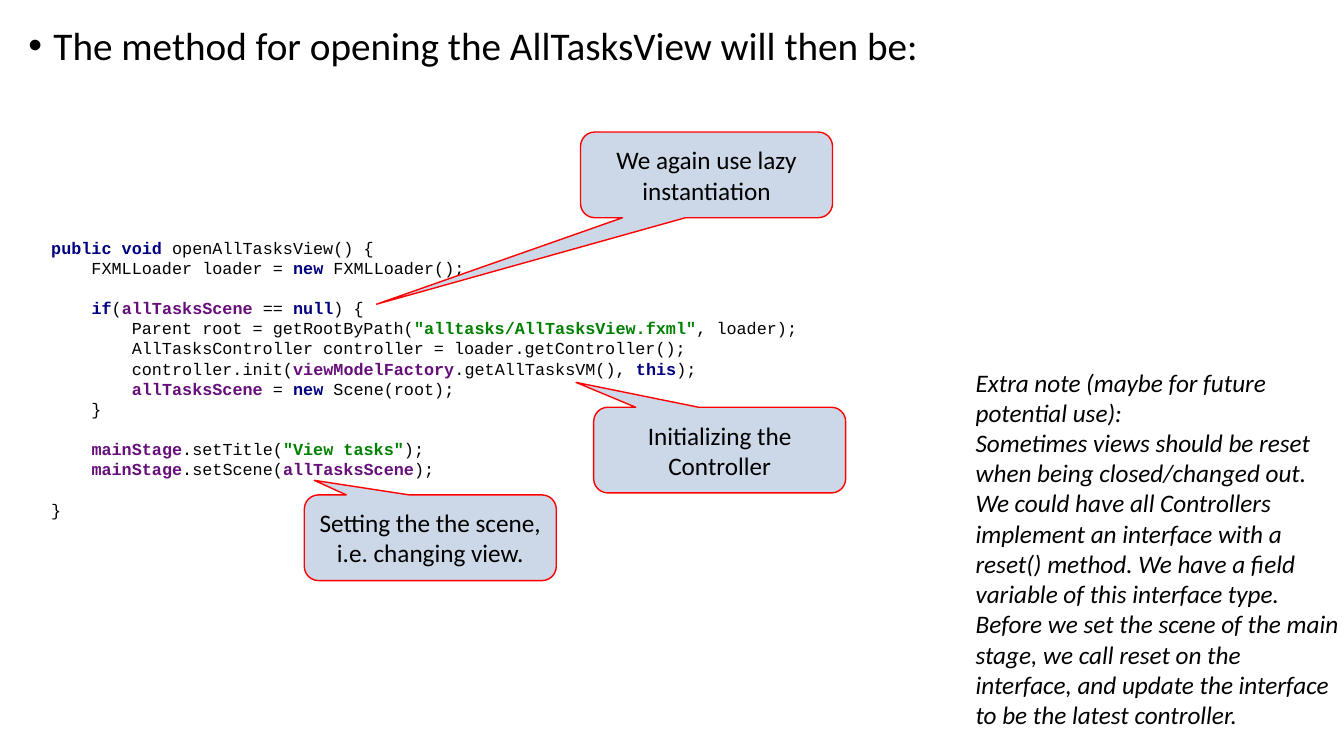
from copy import deepcopy

from lxml.etree import SubElement
from pptx import Presentation
from pptx.dml.color import RGBColor
from pptx.enum.shapes import MSO_SHAPE as Preset
from pptx.enum.text import MSO_ANCHOR as Anchor, MSO_AUTO_SIZE as AutoSize, PP_ALIGN as Align
from pptx.oxml.ns import qn
from pptx.util import Pt

BLACK = RGBColor(0x00, 0x00, 0x00)
WHITE = RGBColor(0xFF, 0xFF, 0xFF)
RED = RGBColor(0xFF, 0x00, 0x00)
PALE_BLUE = RGBColor(0xCC, 0xD8, 0xE7)
NAVY = RGBColor(0x00, 0x00, 0x80)
PURPLE = RGBColor(0x66, 0x0E, 0x7A)
GREEN = RGBColor(0x00, 0x80, 0x00)

BODY_FONT = "Calibri"
CODE_FONT = "Courier New"
CALLOUT_SIZE = (180, 61.2)

HEADING = "The method for opening the AllTasksView will then be:"

# Each line is a list of (text, colour); every colour but black is bold.
CODE = [
    [("public void ", NAVY), ("openAllTasksView() {", BLACK)],
    [("    FXMLLoader loader = ", BLACK), ("new ", NAVY), ("FXMLLoader();", BLACK)],
    [],
    [("    ", BLACK), ("if", NAVY), ("(", BLACK), ("allTasksScene ", PURPLE),
     ("== ", BLACK), ("null", NAVY), (") {", BLACK)],
    [("        Parent root = getRootByPath(", BLACK),
     ('"alltasks/AllTasksView.fxml"', GREEN), (", loader);", BLACK)],
    [("        AllTasksController controller = loader.getController();", BLACK)],
    [("        controller.init(", BLACK), ("viewModelFactory", PURPLE),
     (".getAllTasksVM(), ", BLACK), ("this", NAVY), (");", BLACK)],
    [("        ", BLACK), ("allTasksScene ", PURPLE), ("= ", BLACK),
     ("new ", NAVY), ("Scene(root);", BLACK)],
    [("    }", BLACK)],
    [],
    [("    ", BLACK), ("mainStage", PURPLE), (".setTitle(", BLACK),
     ('"View tasks"', GREEN), (");", BLACK)],
    [("    ", BLACK), ("mainStage", PURPLE), (".setScene(", BLACK),
     ("allTasksScene", PURPLE), (");", BLACK)],
    [],
    [("}", BLACK)],
]

# Text, left, top, and the pointer tip as shares of width and height
CALLOUTS = [
    ("We again use lazy instantiation", 414.7, 94.3, -1.31, 1.51),
    ("Setting the the scene, i.e. changing view.", 217.4, 353.5, -0.46, -0.67),
    ("Initializing the Controller", 424.1, 290.9, -0.57, -0.79),
]

NOTE = [
    "Extra note (maybe for future potential use):",
    "Sometimes views should be reset when being closed/changed out. "
    "We could have all Controllers implement an interface with a reset() method. "
    "We have a field variable of this interface type. "
    "Before we set the scene of the main stage, we call reset on the interface, "
    "and update the interface to be the latest controller.",
]


def add_run(paragraph, text, size, color=BLACK, name=BODY_FONT, bold=False, italic=False):
    run = paragraph.add_run()
    run.text = text
    font = run.font
    font.name, font.size, font.bold, font.italic = name, Pt(size), bold, italic
    font.color.rgb = color
    return run


def set_heading(slide):
    title = slide.shapes.title
    title.left, title.top, title.width, title.height = Pt(13), Pt(15.1), Pt(932.4), Pt(51.1)
    frame = title.text_frame
    frame.auto_size = AutoSize.NONE
    frame.vertical_anchor = Anchor.TOP
    paragraph = frame.paragraphs[0]
    properties = paragraph._p.get_or_add_pPr()
    properties.set("marL", str(Pt(18)))
    properties.set("indent", str(Pt(-18)))
    SubElement(properties, qn("a:buFont"), typeface="Arial")
    SubElement(properties, qn("a:buChar"), char="•")
    paragraph.alignment = Align.LEFT
    paragraph.line_spacing = 0.9
    add_run(paragraph, HEADING, 28)


def add_code(slide):
    shape = slide.shapes.add_shape(Preset.RECTANGLE, Pt(29.5), Pt(164.9), Pt(556.6), Pt(211))
    shape.shadow.inherit = False
    shape.fill.solid()
    shape.fill.fore_color.rgb = WHITE
    shape.line.fill.background()
    frame = shape.text_frame
    frame.word_wrap = False
    frame.auto_size = AutoSize.SHAPE_TO_FIT_TEXT
    frame.vertical_anchor = Anchor.MIDDLE
    paragraph = frame.paragraphs[0]
    paragraph.alignment = Align.LEFT
    for number, line in enumerate(CODE):
        if number:
            paragraph.add_line_break()
        for text, color in line:
            run = add_run(paragraph, text, 12, color, CODE_FONT, bold=color != BLACK)
    # Line breaks need the code font too, so that empty lines keep the pitch.
    for line_break in paragraph._p.findall(qn("a:br")):
        line_break.append(deepcopy(run.font._element))


def add_callout(slide, text, left, top, tip_x, tip_y):
    width, height = CALLOUT_SIZE
    shape = slide.shapes.add_shape(
        Preset.ROUNDED_RECTANGULAR_CALLOUT, Pt(left), Pt(top), Pt(width), Pt(height))
    shape.adjustments[0] = tip_x
    shape.adjustments[1] = tip_y
    shape.shadow.inherit = False
    shape.fill.solid()
    shape.fill.fore_color.rgb = PALE_BLUE
    shape.line.color.rgb = RED
    shape.line.width = Pt(1)
    frame = shape.text_frame
    frame.word_wrap = True
    frame.vertical_anchor = Anchor.MIDDLE
    paragraph = frame.paragraphs[0]
    paragraph.alignment = Align.CENTER
    add_run(paragraph, text, 18)


def add_note(slide):
    box = slide.shapes.add_textbox(Pt(689.8), Pt(258.5), Pt(275.8), Pt(269.3))
    frame = box.text_frame
    frame.word_wrap = True
    frame.auto_size = AutoSize.SHAPE_TO_FIT_TEXT
    for number, text in enumerate(NOTE):
        paragraph = frame.add_paragraph() if number else frame.paragraphs[0]
        add_run(paragraph, text, 18, italic=True)


def main():
    presentation = Presentation()
    presentation.slide_width, presentation.slide_height = Pt(960), Pt(540)
    slide = presentation.slides.add_slide(presentation.slide_layouts[5])
    add_code(slide)
    set_heading(slide)
    for callout in CALLOUTS:
        add_callout(slide, *callout)
    add_note(slide)
    presentation.save("out.pptx")


if __name__ == "__main__":
    main()
